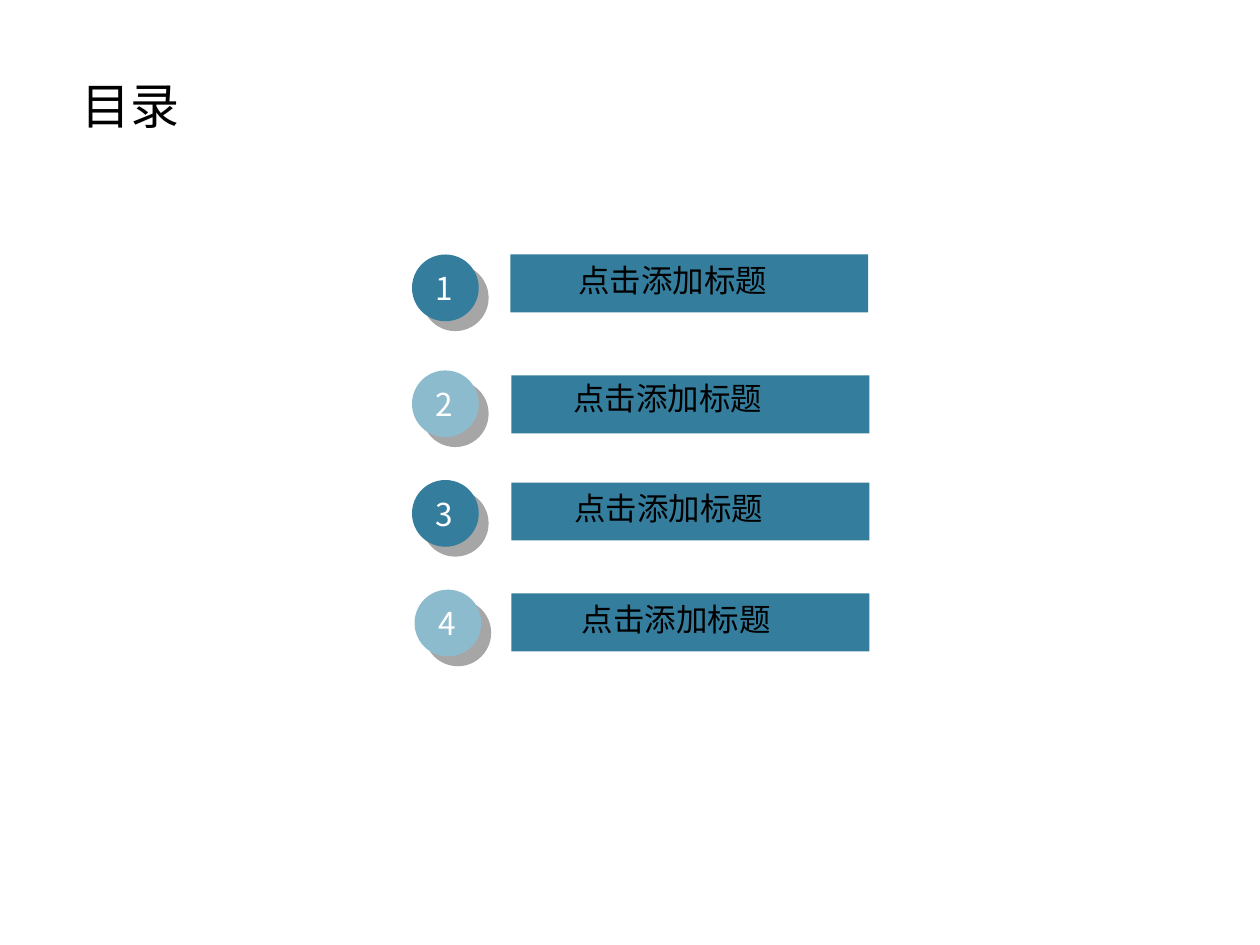
import pptx
import pptx.util
import pptx.dml.color
import pptx.enum.shapes
import pptx.enum.text
import pptx.oxml
import pptx.oxml.ns

Inches = pptx.util.Inches
SHAPE = pptx.enum.shapes.MSO_SHAPE
ANCHOR = pptx.enum.text.MSO_ANCHOR
ALIGN = pptx.enum.text.PP_ALIGN
FONT = "Noto Sans CJK SC"
COLORS = {"dark": "347D9D", "light": "8CBBCE", "black": "000000", "white": "FFFFFF"}
SHADOW = (
    f'<a:effectLst {pptx.oxml.ns.nsdecls("a")}>'
    f'<a:outerShdw dist="{pptx.util.Pt(8)}" dir="2700000" algn="ctr" rotWithShape="0">'
    f'<a:srgbClr val="{COLORS["black"]}"><a:alpha val="35000"/></a:srgbClr>'
    "</a:outerShdw></a:effectLst>"
)


def add_filled(shapes, kind, x, y, w, h, color):
    sp = shapes.add_shape(kind, Inches(x), Inches(y), Inches(w), Inches(h))
    sp.shadow.inherit = False
    sp.fill.solid()
    sp.fill.fore_color.rgb = pptx.dml.color.RGBColor.from_string(COLORS[color])
    sp.line.fill.background()
    return sp


def write_text(sp, text, size, color, align=ALIGN.LEFT, anchor=ANCHOR.TOP, wrap=False):
    tf = sp.text_frame
    frame = {
        "word_wrap": wrap,
        "vertical_anchor": anchor,
        "auto_size": pptx.enum.text.MSO_AUTO_SIZE.NONE,
        "margin_left": Inches(0.1),
        "margin_right": Inches(0.1),
        "margin_top": Inches(0.05),
        "margin_bottom": Inches(0.05),
    }
    for name, value in frame.items():
        setattr(tf, name, value)
    p = tf.paragraphs[0]
    p.alignment = align
    r = p.add_run()
    r.text = text
    r.font.size = pptx.util.Pt(size)
    r.font.color.rgb = pptx.dml.color.RGBColor.from_string(COLORS[color])
    r.font.name = FONT
    r._r.get_or_add_rPr().append(
        pptx.oxml.parse_xml(f'<a:ea {pptx.oxml.ns.nsdecls("a")} typeface="{FONT}"/>')
    )


prs = pptx.Presentation()
prs.slide_width, prs.slide_height = Inches(10), Inches(7.5)
s = prs.slides.add_slide(prs.slide_layouts[5])

title = s.shapes.title
position = {"left": 0.55, "top": 0.55, "width": 1.09, "height": 0.57}
for name, value in position.items():
    setattr(title, name, Inches(value))
write_text(title, "目录", 28, "black", wrap=True)

entries = [
    {"bar": (4.05, 2.02), "circle": (3.27, 2.02), "label": (4.49, 2.02), "color": "dark"},
    {"bar": (4.06, 2.98), "circle": (3.27, 2.94), "label": (4.45, 2.96), "color": "light"},
    {"bar": (4.06, 3.83), "circle": (3.27, 3.81), "label": (4.46, 3.83), "color": "dark"},
    {"bar": (4.06, 4.71), "circle": (3.29, 4.68), "label": (4.52, 4.71), "color": "light"},
]
for number, entry in enumerate(entries, 1):
    add_filled(s.shapes, SHAPE.RECTANGLE, *entry["bar"], 2.84, 0.46, "dark")

    badge = s.shapes.add_group_shape()
    x, y = entry["circle"]
    circle = add_filled(badge.shapes, SHAPE.OVAL, x, y, 0.53, 0.53, entry["color"])
    spPr = circle._element.spPr
    spPr.replace(spPr.find(pptx.oxml.ns.qn("a:effectLst")), pptx.oxml.parse_xml(SHADOW))
    digit = badge.shapes.add_textbox(Inches(x + 0.09), Inches(y + 0.07), Inches(0.34), Inches(0.39))
    write_text(digit, str(number), 18, "white", ALIGN.CENTER, ANCHOR.MIDDLE)

    x, y = entry["label"]
    label = s.shapes.add_textbox(Inches(x), Inches(y), Inches(1.7), Inches(0.4))
    write_text(label, "点击添加标题", 18, "black")

prs.save("out.pptx")
